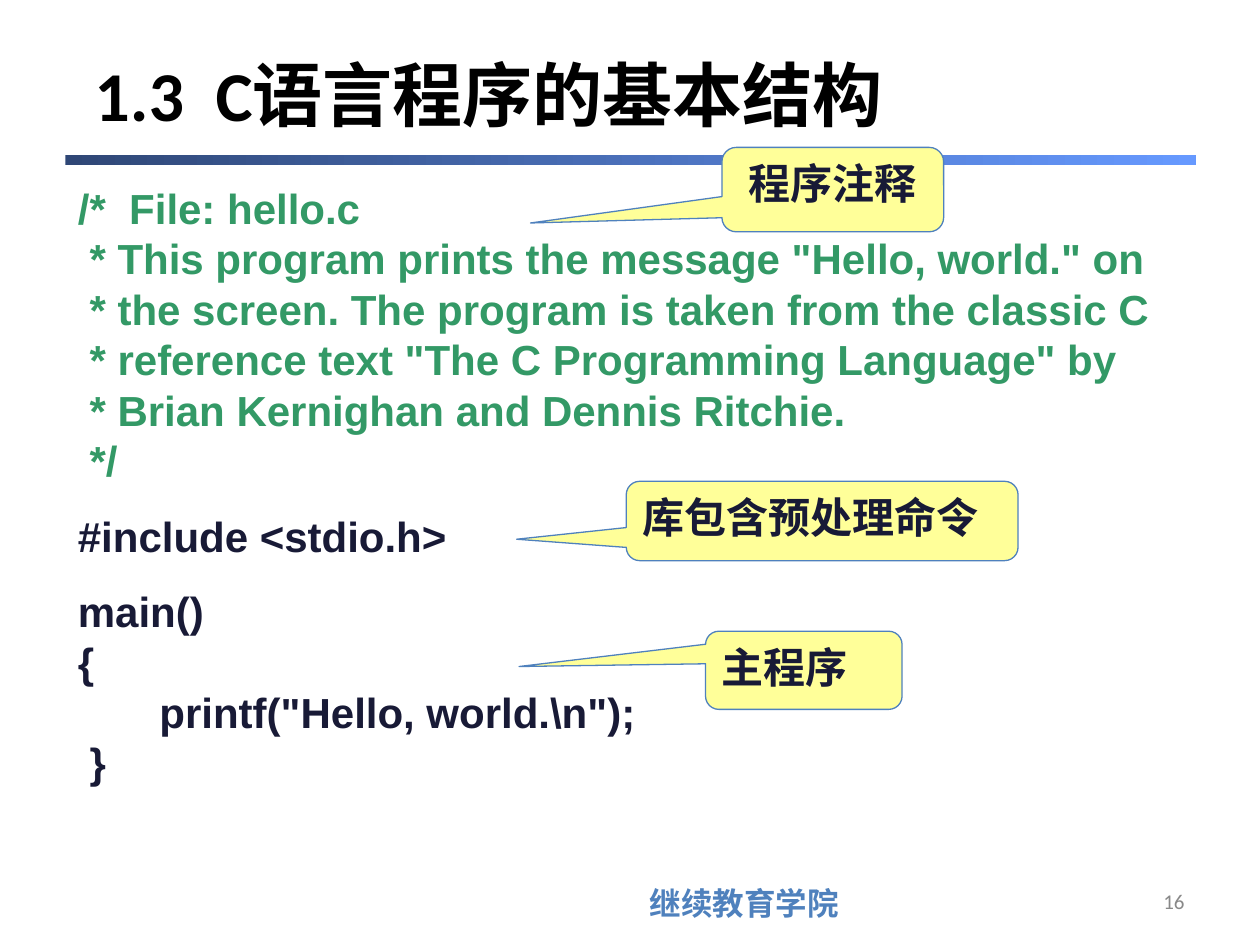
from pptx import Presentation
from pptx.dml.color import RGBColor
from pptx.enum.shapes import MSO_SHAPE as SHAPE
from pptx.enum.text import MSO_ANCHOR as ANCHOR, PP_ALIGN as ALIGN
from pptx.util import Inches, Pt

BLACK = RGBColor(0x00, 0x00, 0x00)
WHITE = RGBColor(0xFF, 0xFF, 0xFF)
NAVY = RGBColor(0x18, 0x1A, 0x36)
GREEN = RGBColor(0x33, 0x99, 0x66)
BLUE = RGBColor(0x4F, 0x81, 0xBD)
GRAY = RGBColor(0x89, 0x89, 0x89)
YELLOW = RGBColor(0xFF, 0xFF, 0x99)
BAR_DARK = RGBColor(0x2F, 0x47, 0x76)
BAR_LIGHT = RGBColor(0x66, 0x99, 0xFF)

WIDTH, HEIGHT = Inches(10), Inches(7.5)
COLS, ROWS = 100, 75

COMMENT = """/*  File: hello.c
 * This program prints the message "Hello, world." on
 * the screen. The program is taken from the classic C
 * reference text "The C Programming Language" by
 * Brian Kernighan and Dennis Ritchie.
 */"""
INCLUDE = "#include <stdio.h>"
MAIN = r"""main()
{
       printf("Hello, world.\n");
 }"""

# label, box (left, top, width, height), tip (column, row), alignment
CALLOUTS = [
    ("程序注释", (57.3, 11.7, 17.6, 6.7), (42.1, 17.7), ALIGN.CENTER),
    ("库包含预处理命令", (49.7, 38.2, 31.1, 6.3), (41, 42.8), ALIGN.LEFT),
    ("主程序", (56, 50.1, 15.6, 6.2), (41.2, 52.9), ALIGN.LEFT),
]


def on_grid(box):
    """Turn grid columns and rows into slide lengths."""
    x, y, w, h = box
    col, row = WIDTH / COLS, HEIGHT / ROWS
    return int(x * col), int(y * row), int(w * col), int(h * row)


def add_text(tf, text, size, color, font="Arial", bold=True, align=ALIGN.LEFT,
             anchor=ANCHOR.TOP, line=None, before=0):
    """Write the text's lines as paragraphs after any already in the frame."""
    tf.word_wrap = True
    tf.vertical_anchor = anchor
    for i, words in enumerate(text.split("\n")):
        p = tf.add_paragraph() if tf.text else tf.paragraphs[0]
        p.alignment = align
        if line:
            p.line_spacing = Pt(line)
        if before and i == 0:
            p.space_before = Pt(before)
        r = p.add_run()
        r.text = words
        r.font.name, r.font.size, r.font.bold = font, Pt(size), bold
        r.font.color.rgb = color


def add_label(slide, box, text, size, color, **style):
    tf = slide.shapes.add_textbox(*on_grid(box)).text_frame
    add_text(tf, text, size, color, **style)
    return tf


def add_plain_shape(slide, kind, box):
    sp = slide.shapes.add_shape(kind, *on_grid(box))
    sp.shadow.inherit = False
    sp.line.fill.background()
    return sp


def add_header(slide, box):
    """Title over a gradient bar that closes the box."""
    x, y, w, h = box
    tf = add_label(slide, (x, y, w, h - 0.6), "1.3  C语言程序的基本结构", 40, BLACK,
                   font="Calibri", anchor=ANCHOR.MIDDLE)
    tf.margin_left = Inches(0.23)
    bar = add_plain_shape(slide, SHAPE.RECTANGLE, (x, y + h - 0.8, w, 0.8))
    bar.fill.gradient()
    bar.fill.gradient_angle = 0
    for stop, color, place in zip(bar.fill.gradient_stops,
                                  (BAR_DARK, BAR_LIGHT), (0, 1)):
        stop.color.rgb, stop.position = color, place


def add_code(slide, box):
    panel = add_plain_shape(slide, SHAPE.RECTANGLE, box)
    panel.fill.solid()
    panel.fill.fore_color.rgb = WHITE
    for text, color, before in ((COMMENT, GREEN, 0), (INCLUDE, NAVY, 14.4),
                                (MAIN, NAVY, 14.4)):
        add_text(panel.text_frame, text, 24, color, line=28.8, before=before)


def add_callout(slide, box, text, tip, align):
    sp = add_plain_shape(slide, SHAPE.ROUNDED_RECTANGULAR_CALLOUT, box)
    x, y, w, h = box
    sp.adjustments[0] = (tip[0] - x) / w - 0.5
    sp.adjustments[1] = (tip[1] - y) / h - 0.5
    sp.adjustments[2] = 0.17
    sp.fill.solid()
    sp.fill.fore_color.rgb = YELLOW
    sp.line.color.rgb = BLUE
    sp.line.width = Pt(0.75)
    add_text(sp.text_frame, text, 24, NAVY, font="Karla", align=align)


def add_footer(slide, box):
    """School name at the left of the box, page number at its right."""
    x, y, w, h = box
    add_label(slide, (x, y + 0.2, 18.1, h), "继续教育学院", 18, BLUE)
    add_label(slide, (x + w - 23.3, y, 23.3, h), "16", 12, GRAY, font="Calibri",
              bold=False, align=ALIGN.RIGHT, anchor=ANCHOR.MIDDLE)


def main():
    prs = Presentation()
    prs.slide_width, prs.slide_height = WIDTH, HEIGHT
    slide = prs.slides.add_slide(prs.slide_layouts[6])
    add_header(slide, (5.2, 2.4, 89.7, 10.7))
    add_code(slide, (5.2, 14, 93.1, 49))
    for text, box, tip, align in CALLOUTS:
        add_callout(slide, box, text, tip, align)
    add_footer(slide, (50.6, 69.5, 44.4, 4))
    prs.save("out.pptx")


if __name__ == "__main__":
    main()
